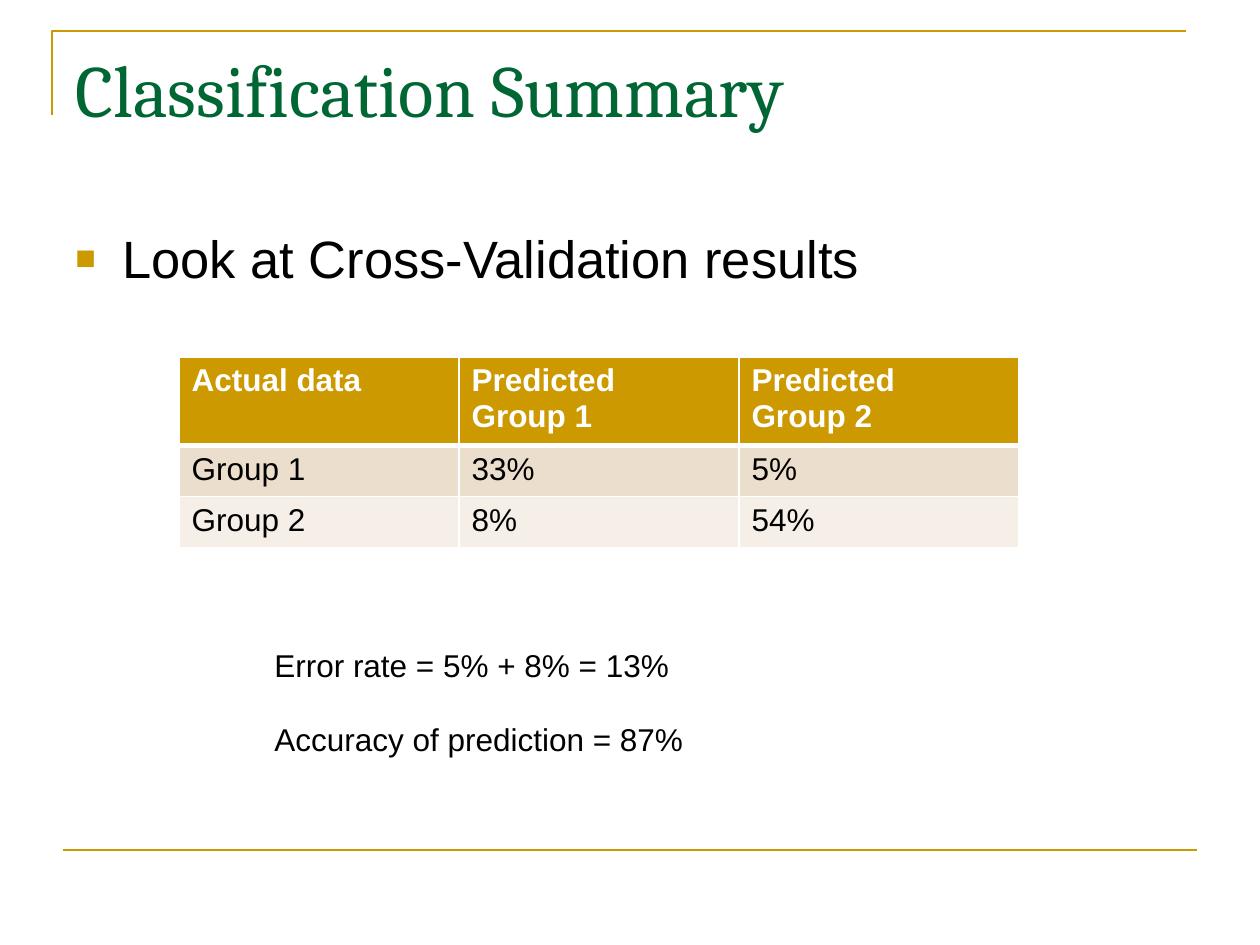
from dataclasses import dataclass

from lxml import etree
from pptx import Presentation
from pptx.dml.color import RGBColor
from pptx.enum.shapes import MSO_CONNECTOR
from pptx.oxml import parse_xml
from pptx.oxml.ns import nsdecls, qn
from pptx.util import Emu, Pt

SCALE = 914400 // 126


@dataclass(frozen=True)
class Theme:
    gold: str = "CC9900"
    green: str = "006633"
    black: str = "000000"
    white: str = "FFFFFF"
    bands: tuple = ("ECDECC", "F6EFE7")
    title_font: str = "Cambria"
    body_font: str = "Arial"
    title_size: int = 42
    bullet_size: int = 30
    text_size: int = 18
    rule_width: float = 1.5


def px(value):
    return Emu(value * SCALE)


def rgb(color):
    return RGBColor.from_string(color)


class SlideBuilder:
    def __init__(self, slide, theme):
        self.shapes = slide.shapes
        self.theme = theme

    def style_line(self, line):
        line.color.rgb = rgb(self.theme.gold)
        line.width = Pt(self.theme.rule_width)

    def rule(self, x1, y1, x2, y2):
        line = self.shapes.add_connector(
            MSO_CONNECTOR.STRAIGHT, px(x1), px(y1), px(x2), px(y2))
        self.style_line(line.line)
        etree.SubElement(line._element.spPr, qn("a:effectLst"))

    def open_path(self, start, *points):
        builder = self.shapes.build_freeform(*start, scale=SCALE)
        builder.add_line_segments(points, close=False)
        path = builder.convert_to_shape()
        path.fill.background()
        path.shadow.inherit = False
        self.style_line(path.line)

    def fill_text(self, frame, lines, size, color=None, font=None, bold=False, gap=0):
        for index, line in enumerate(lines):
            paragraph = frame.paragraphs[0] if index == 0 else frame.add_paragraph()
            if index and gap:
                paragraph.space_before = Pt(gap)
            run = paragraph.add_run()
            run.text = line
            run.font.size = Pt(size)
            run.font.name = font or self.theme.body_font
            run.font.bold = bold
            run.font.color.rgb = rgb(color or self.theme.black)

    def text(self, box, lines, size, wrap=True, **style):
        frame = self.shapes.add_textbox(*map(px, box)).text_frame
        frame.word_wrap = wrap
        self.fill_text(frame, lines, size, **style)
        return frame

    def bullet(self, box, line, indent):
        frame = self.text(box, [line], self.theme.bullet_size)
        paragraph = frame.paragraphs[0]
        paragraph.space_before = Pt(self.theme.bullet_size * 0.2)
        properties = paragraph._p.get_or_add_pPr()
        properties.set("marL", str(px(indent)))
        properties.set("indent", str(-px(indent)))
        for xml in (
            f'<a:buClr {nsdecls("a")}><a:srgbClr val="{self.theme.gold}"/></a:buClr>',
            f'<a:buSzPct {nsdecls("a")} val="65000"/>',
            f'<a:buFont {nsdecls("a")} typeface="{self.theme.body_font}"/>',
            f'<a:buChar {nsdecls("a")} char="■"/>',
        ):
            properties.append(parse_xml(xml))

    def cell_borders(self, cell, bottom, top):
        properties = cell._tc.get_or_add_tcPr()
        widths = {"lnL": 1, "lnR": 1, "lnT": top, "lnB": bottom}
        for index, (tag, width) in enumerate(widths.items()):
            properties.insert(index, parse_xml(
                f'<a:{tag} {nsdecls("a")} w="{Pt(width)}"><a:solidFill>'
                f'<a:srgbClr val="{self.theme.white}"/></a:solidFill></a:{tag}>'))

    def table(self, left, top, column_width, row_heights, rows):
        columns = len(rows[0])
        table = self.shapes.add_table(
            len(rows), columns, px(left), px(top),
            px(column_width * columns), px(sum(row_heights))).table
        for column in table.columns:
            column.width = px(column_width)
        for r, values in enumerate(rows):
            table.rows[r].height = px(row_heights[r])
            header = r == 0
            fill = self.theme.gold if header else self.theme.bands[(r - 1) % 2]
            color = self.theme.white if header else self.theme.black
            for c, value in enumerate(values):
                cell = table.cell(r, c)
                cell.fill.solid()
                cell.fill.fore_color.rgb = rgb(fill)
                self.fill_text(cell.text_frame, value.split("\n"),
                               self.theme.text_size, color=color, bold=header)
                self.cell_borders(cell, 3 if header else 1, 3 if r == 1 else 1)


theme = Theme()
presentation = Presentation()
presentation.slide_width, presentation.slide_height = px(1260), px(945)
slide = SlideBuilder(
    presentation.slides.add_slide(presentation.slide_layouts[6]), theme)

slide.open_path((52, 115), (52, 31), (1186, 31))
slide.rule(63, 850, 1197, 850)
slide.text((63, 38, 1134, 157), ["Classification Summary"], theme.title_size,
           color=theme.green, font=theme.title_font)
slide.bullet((63, 220, 1134, 624), "Look at Cross-Validation results", 47)
slide.table(179, 357, 280, (88, 51, 51), [
    ("Actual data", "Predicted\nGroup 1", "Predicted\nGroup 2"),
    ("Group 1", "33%", "5%"),
    ("Group 2", "8%", "54%"),
])
slide.text((262, 640, 438, 127),
           ["Error rate = 5% + 8% = 13%", "Accuracy of prediction = 87%"],
           theme.text_size, wrap=False, gap=20.7)

presentation.save("out.pptx")
